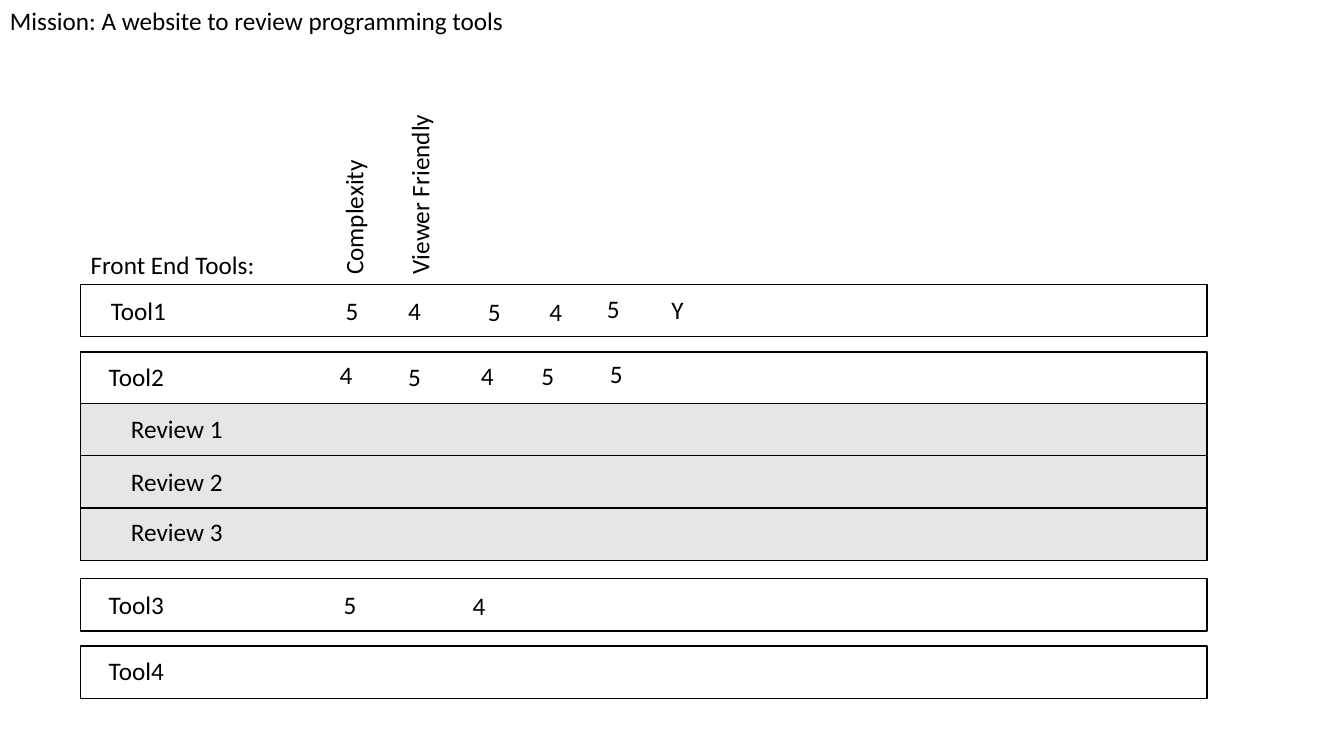
from pptx import Presentation
from pptx.dml.color import RGBColor
from pptx.enum.shapes import MSO_SHAPE
from pptx.enum.text import MSO_AUTO_SIZE
from pptx.util import Inches, Pt

THEME = {
    "font": "Calibri", "size": Pt(18), "line": Pt(1),
    "ink": RGBColor(0, 0, 0),
    "tool": RGBColor(255, 255, 255),
    "review": RGBColor(0xE7, 0xE6, 0xE6),
}

# Bars: kind, top, label, label left, label top
BARS = [
    ("tool", 2.82, "Tool1", 1.0, 2.88),
    ("tool", 3.49, "Tool2", 0.98, 3.54),
    ("tool", 5.74, "Tool3", 0.98, 5.8),
    ("tool", 6.41, "Tool4", 0.98, 6.45),
    ("review", 4.0, "Review 1", 1.2, 4.05),
    ("review", 4.52, "Review 2", 1.2, 4.58),
    ("review", 5.04, "Review 3", 1.2, 5.07),
]

# Scores of each tool: text, left, top
SCORES = {
    "Tool1": [("5", 3.33, 2.88), ("4", 3.95, 2.88), ("5", 4.74, 2.89),
              ("4", 5.35, 2.89), ("5", 5.92, 2.86), ("Y", 6.56, 2.87)],
    "Tool2": [("4", 3.27, 3.52), ("5", 3.95, 3.54), ("4", 4.67, 3.53),
              ("5", 5.27, 3.53), ("5", 5.95, 3.51)],
    "Tool3": [("5", 3.31, 5.8), ("4", 4.59, 5.81)],
}

# Headings: text, left, top, width, wrap, turn
HEADS = [
    ("Mission: A website to review programming tools", 0, 0, 5.15, False, 0),
    ("Front End Tools:", 0.8, 2.42, 1.89, True, 0),
    ("Complexity", 2.64, 1.76, 1.73, True, 270),
    ("Viewer Friendly", 3.21, 1.67, 1.9, False, 270),
]

LEFT, WIDTH, HIGH = 0.8, 11.17, 0.52
LINE = 0.4
LABEL = {"tool": 0.75, "review": 1.12}
SCORE = 0.42

deck = Presentation()
deck.slide_width, deck.slide_height = Inches(13.33), Inches(7.5)
slide = deck.slides.add_slide(deck.slide_layouts[6])


def add_bar(kind, top):
    bar = slide.shapes.add_shape(MSO_SHAPE.RECTANGLE, Inches(LEFT), Inches(top),
                                 Inches(WIDTH), Inches(HIGH))
    bar.shadow.inherit = False
    bar.fill.solid()
    bar.fill.fore_color.rgb = THEME[kind]
    bar.line.color.rgb = THEME["ink"]
    bar.line.width = THEME["line"]


def add_text(text, left, top, width, wrap=True, turn=0):
    box = slide.shapes.add_textbox(Inches(left), Inches(top),
                                   Inches(width), Inches(LINE))
    box.rotation = turn
    frame = box.text_frame
    frame.text = text
    frame.word_wrap = wrap
    frame.auto_size = MSO_AUTO_SIZE.SHAPE_TO_FIT_TEXT
    font = frame.paragraphs[0].runs[0].font
    font.name, font.size = THEME["font"], THEME["size"]
    font.color.rgb = THEME["ink"]


# Headings
for head in HEADS:
    add_text(*head)

# Bars with their labels
for kind, top, label, left, base in BARS:
    add_bar(kind, top)
    add_text(label, left, base, LABEL[kind], wrap=False)

# Scores
for row in SCORES.values():
    for text, left, top in row:
        add_text(text, left, top, SCORE)

deck.save("out.pptx")
